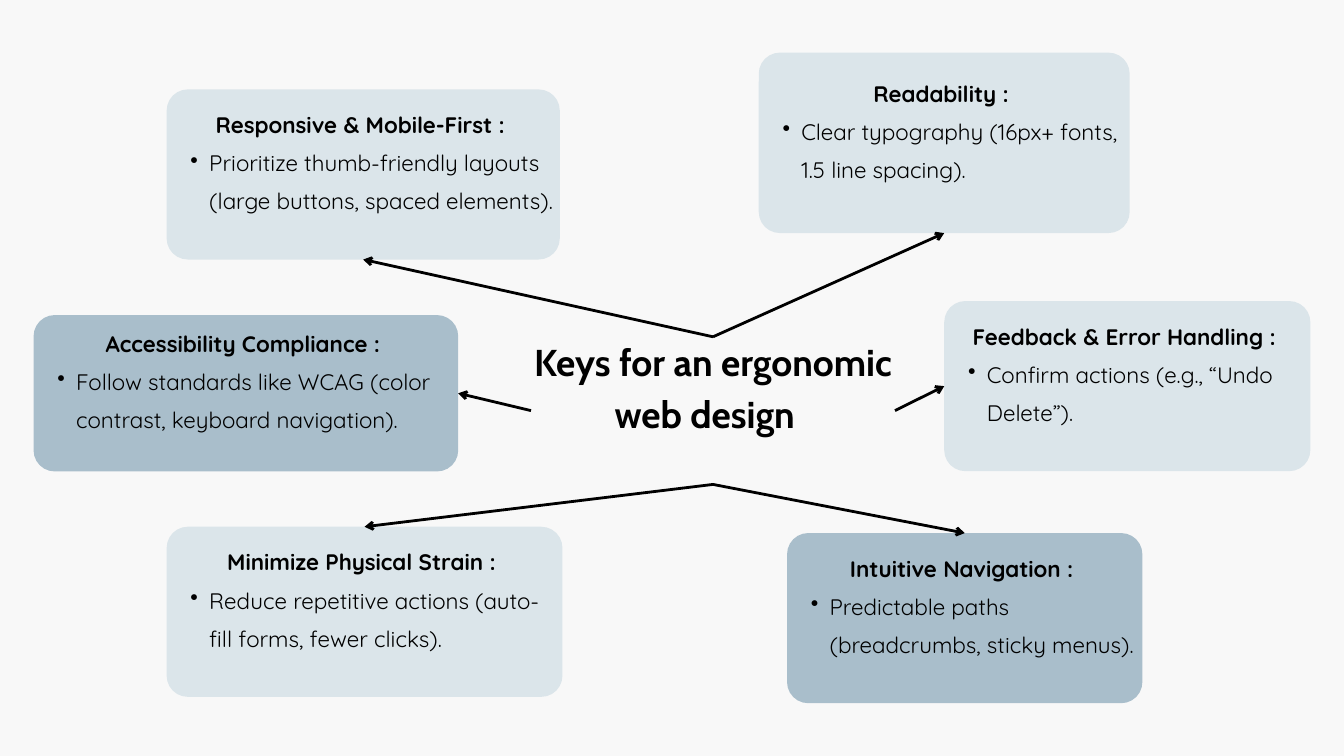
from lxml.etree import SubElement
from pptx import Presentation
from pptx.dml.color import RGBColor
from pptx.enum.shapes import MSO_CONNECTOR as Connector, MSO_SHAPE as Shape
from pptx.enum.text import MSO_ANCHOR as Anchor, MSO_AUTO_SIZE as AutoSize, PP_ALIGN as Align
from pptx.oxml.ns import qn
from pptx.util import Cm, Pt

BLACK, PALE, BLUE = "000000", "DBE5EA", "A9BECB"
RADIUS = 0.8
TEXT_RISE = 1.31  # how far each text area reaches above its card
INSET = Cm(0.16)

# heading, advice, fill, (left, top, width, height) in cm, side the arrow meets
CARDS = [
    ("Responsive & Mobile-First : ",
     "Prioritize thumb-friendly layouts (large buttons, spaced elements).",
     PALE, (6.3, 3.38, 14.86, 6.43), "bottom"),
    ("Accessibility Compliance : ",
     "Follow standards like WCAG (color contrast, keyboard navigation).",
     BLUE, (1.27, 11.91, 16.05, 5.91), "right"),
    ("Minimize Physical Strain : ",
     "Reduce repetitive actions (auto-fill forms, fewer clicks).",
     PALE, (6.3, 19.91, 14.96, 6.43), "top"),
    ("Readability : ",
     "Clear typography (16px+ fonts, 1.5 line spacing).",
     PALE, (28.68, 1.99, 14.02, 6.82), "bottom"),
    ("Intuitive Navigation : ",
     "Predictable paths (breadcrumbs, sticky menus).",
     BLUE, (29.75, 20.15, 13.43, 6.43), "top"),
    ("Feedback & Error Handling : ",
     "Confirm actions (e.g., “Undo Delete”).",
     PALE, (35.69, 11.38, 13.84, 6.43), "left"),
]
# Where an arrow leaves the title, by the side of the card it meets
ARROW_STARTS = {"bottom": (26.95, 12.73), "top": (26.95, 18.31),
                "right": (20.07, 15.52), "left": (33.83, 15.52)}


def rgb(value):
    return RGBColor.from_string(value)


def style(paragraph, font_name, size, bold, spacing, align):
    paragraph.alignment = align
    paragraph.line_spacing = Pt(spacing)
    paragraph.space_before = Pt(0)
    font = paragraph.font
    font.name, font.size, font.bold = font_name, Pt(size), bold
    font.color.rgb = rgb(BLACK)


presentation = Presentation()
presentation.slide_width, presentation.slide_height = Cm(50.8), Cm(28.575)
slide = presentation.slides.add_slide(presentation.slide_layouts[5])
slide.background.fill.solid()
slide.background.fill.fore_color.rgb = rgb("F8F8F8")

title = slide.shapes.title
title.left, title.top, title.width, title.height = Cm(20.07), Cm(12.52), Cm(13.77), Cm(5.79)
frame = title.text_frame
frame.text = "Keys for an ergonomic web design  "
frame.word_wrap, frame.auto_size, frame.vertical_anchor = True, AutoSize.NONE, Anchor.TOP
frame.margin_left = frame.margin_top = frame.margin_right = frame.margin_bottom = 0
style(frame.paragraphs[0], "Cabin", 40, True, 56, Align.CENTER)

for heading, advice, fill, (left, top, width, height), side in CARDS:
    card = slide.shapes.add_shape(Shape.ROUNDED_RECTANGLE, Cm(left), Cm(top), Cm(width), Cm(height))
    card.adjustments[0] = RADIUS / height
    card.shadow.inherit = False
    card.fill.solid()
    card.fill.fore_color.rgb = rgb(fill)
    card.line.fill.background()

    text_box = slide.shapes.add_textbox(
        Cm(left), Cm(top - TEXT_RISE), Cm(width), Cm(height + TEXT_RISE))
    frame = text_box.text_frame
    frame.word_wrap, frame.vertical_anchor = True, Anchor.MIDDLE
    frame.margin_left = frame.margin_top = frame.margin_right = frame.margin_bottom = INSET
    frame.text = heading
    style(frame.paragraphs[0], "Quicksand", 24, True, 40.8, Align.CENTER)

    bullet = frame.add_paragraph()
    bullet.text = advice
    bullet.level = 1
    properties = bullet._p.get_or_add_pPr()
    properties.set("marL", str(Cm(1.45)))
    properties.set("indent", str(Cm(-0.71)))
    SubElement(properties, qn("a:buChar"), char="•")
    style(bullet, "Quicksand", 24, False, 40.8, Align.LEFT)

    center, middle = left + width / 2, top + height / 2
    tip_x, tip_y = {"top": (center, top), "bottom": (center, top + height),
                    "left": (left, middle), "right": (left + width, middle)}[side]
    start_x, start_y = ARROW_STARTS[side]
    arrow = slide.shapes.add_connector(
        Connector.STRAIGHT, Cm(start_x), Cm(start_y), Cm(tip_x), Cm(tip_y))
    arrow.line.width = Pt(3)
    arrow.line.color.rgb = rgb(BLACK)
    SubElement(arrow.line._get_or_add_ln(), qn("a:tailEnd"), type="arrow")
    SubElement(arrow._element.spPr, qn("a:effectLst"))

presentation.save("out.pptx")
